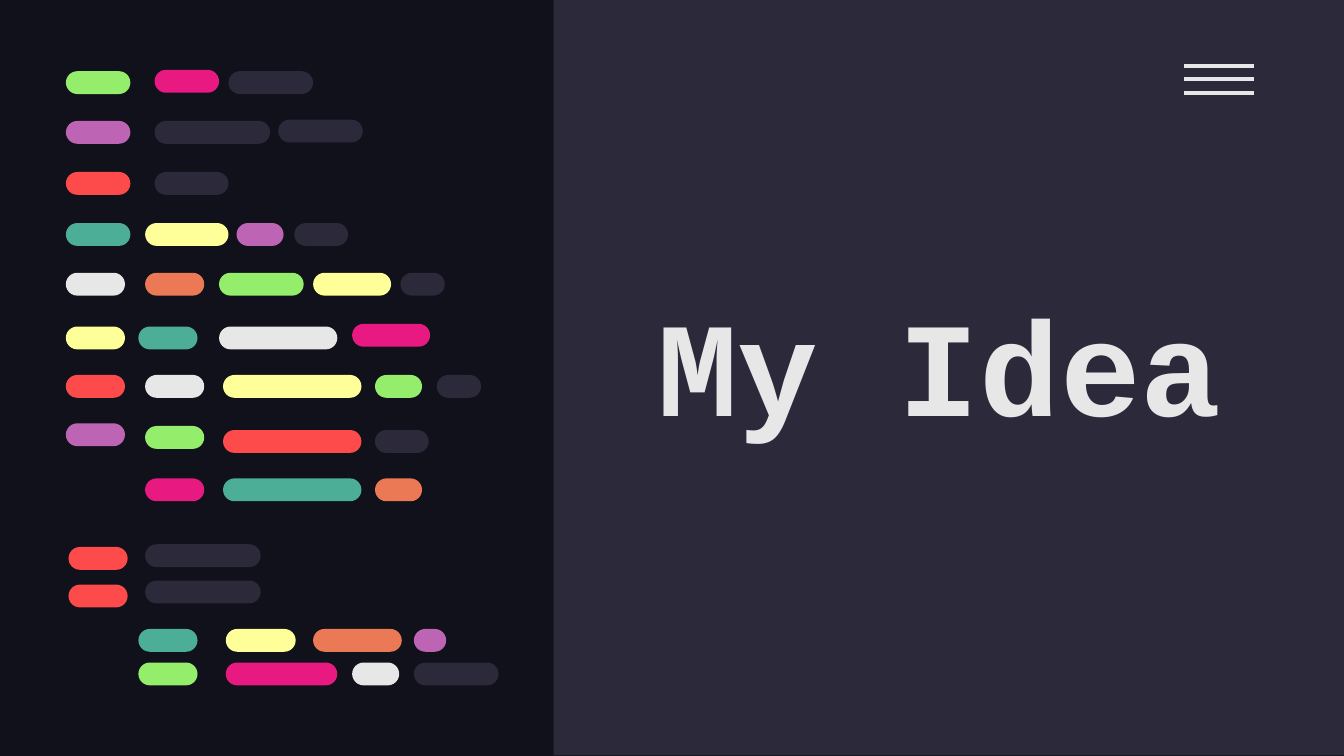
from pptx import Presentation
from pptx.util import Inches, Pt
from pptx.dml.color import RGBColor
from pptx.enum.shapes import MSO_SHAPE as Shape, MSO_CONNECTOR as Link
from pptx.enum.text import PP_ALIGN as Align, MSO_ANCHOR as Anchor
from pptx.oxml.ns import qn
from lxml import etree


def paint(fill, color):
    fill.solid()
    fill.fore_color.rgb = RGBColor.from_string(color)


def block(parent, kind, box, color):
    shape = parent.add_shape(kind, *[Inches(n) for n in box])
    shape.shadow.inherit = False
    paint(shape.fill, color)
    shape.line.fill.background()
    return shape


GREEN, PINK, PURPLE, RED = "94EE6B", "E81A81", "BD64B5", "FD4A4A"
TEAL, YELLOW, ORANGE = "4CAE97", "FFFF99", "EC7955"
WHITE, GRAY, BLACK = "E7E7E7", "2C293A", "10111A"

deck = Presentation()
deck.slide_width = Inches(10)
deck.slide_height = Inches(10 * 9 / 16)
slide = deck.slides.add_slide(deck.slide_layouts[6])
paint(slide.background.fill, BLACK)
block(slide.shapes, Shape.RECTANGLE, (4.12, 0, 5.88, 5.62), GRAY)

menu = slide.shapes.add_group_shape()
for i in range(3):
    y = Inches(0.49 + 0.1 * i)
    bar = menu.shapes.add_connector(Link.STRAIGHT, Inches(8.81), y, Inches(9.33), y)
    paint(bar.line.fill, WHITE)
    bar.line.width = Pt(2.25)
    etree.SubElement(bar._element.spPr, qn("a:effectLst"))

title = slide.shapes.add_textbox(Inches(4.76), Inches(1.43), Inches(4.46), Inches(2.77))
frame = title.text_frame
look = {"word_wrap": True, "vertical_anchor": Anchor.MIDDLE}
look.update({"margin_" + side: Inches(0.1) for side in ("left", "top", "right", "bottom")})
for name, value in look.items():
    setattr(frame, name, value)
para = frame.paragraphs[0]
para.alignment, para.line_spacing = Align.CENTER, 0.8
run = para.add_run()
run.text = "My Idea"
for name, value in {"name": "Courier New", "size": Pt(72), "bold": True}.items():
    setattr(run.font, name, value)
paint(run.font.fill, WHITE)

rows = [
    (0.53, [(0.49, 0.48, GREEN), (1.7, 0.63, GRAY)]),
    (0.52, [(1.15, 0.48, PINK)]),
    (0.9, [(0.49, 0.48, PURPLE), (1.15, 0.86, GRAY)]),
    (0.89, [(2.07, 0.63, GRAY)]),
    (1.28, [(0.49, 0.48, RED), (1.15, 0.55, GRAY)]),
    (1.66, [(0.49, 0.48, TEAL), (1.08, 0.62, YELLOW), (1.76, 0.35, PURPLE), (2.19, 0.4, GRAY)]),
    (2.03, [(0.49, 0.44, WHITE), (1.08, 0.44, ORANGE), (1.63, 0.63, GREEN),
            (2.33, 0.58, YELLOW), (2.98, 0.33, GRAY)]),
    (2.43, [(0.49, 0.44, YELLOW), (1.03, 0.44, TEAL), (1.63, 0.88, WHITE)]),
    (2.41, [(2.62, 0.58, PINK)]),
    (2.79, [(0.49, 0.44, RED), (1.08, 0.44, WHITE), (1.66, 1.03, YELLOW),
            (2.79, 0.35, GREEN), (3.25, 0.33, GRAY)]),
    (3.15, [(0.49, 0.44, PURPLE)]),
    (3.17, [(1.08, 0.44, GREEN)]),
    (3.2, [(1.66, 1.03, RED), (2.79, 0.4, GRAY)]),
    (3.56, [(1.08, 0.44, PINK), (1.66, 1.03, TEAL), (2.79, 0.35, ORANGE)]),
    (4.07, [(0.51, 0.44, RED)]),
    (4.05, [(1.08, 0.86, GRAY)]),
    (4.35, [(0.51, 0.44, RED)]),
    (4.32, [(1.08, 0.86, GRAY)]),
    (4.68, [(1.03, 0.44, TEAL), (1.68, 0.52, YELLOW), (2.33, 0.66, ORANGE), (3.08, 0.24, PURPLE)]),
    (4.93, [(1.03, 0.44, GREEN), (1.68, 0.83, PINK), (2.62, 0.35, WHITE), (3.08, 0.63, GRAY)]),
]
code = slide.shapes.add_group_shape()
for y, pills in rows:
    for x, width, color in pills:
        pill = block(code.shapes, Shape.ROUNDED_RECTANGLE, (x, y, width, 0.17), color)
        pill.adjustments[0] = 0.5

deck.save("out.pptx")
